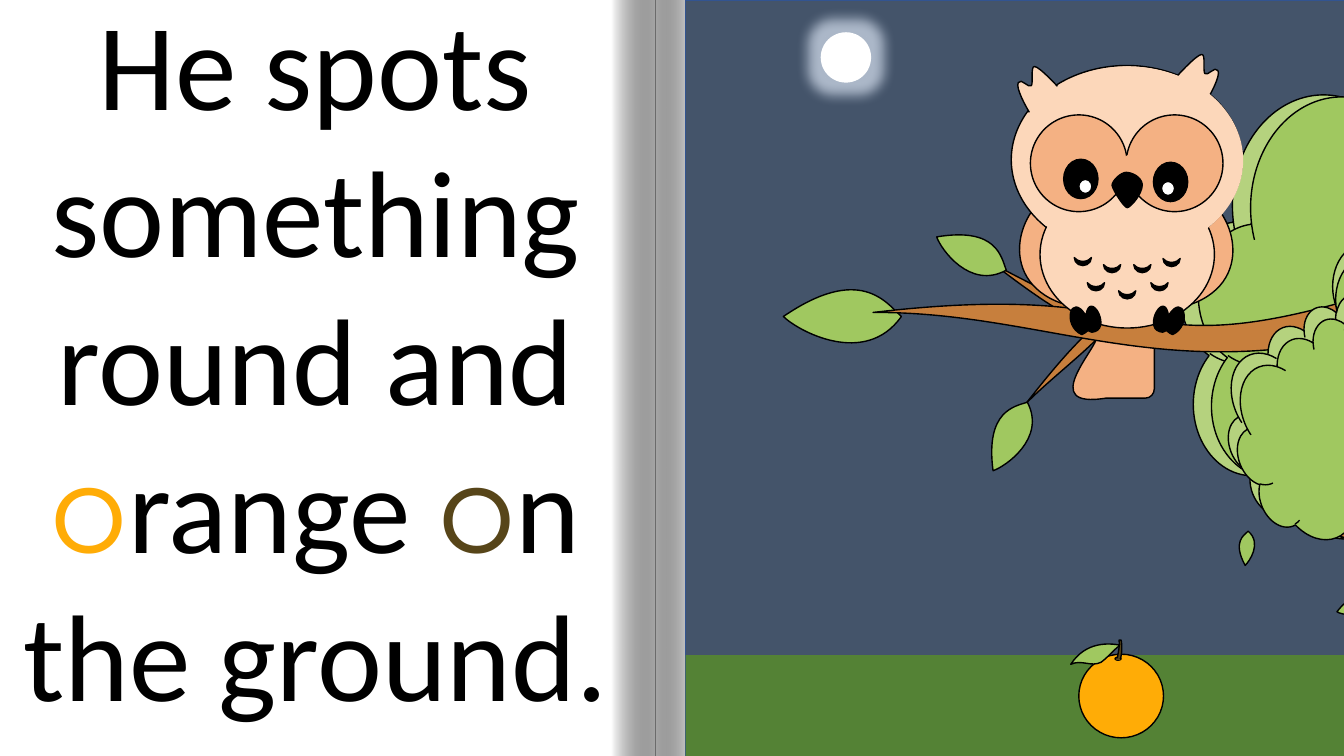
from lxml.etree import SubElement as Sub
from pptx import Presentation
from pptx.dml.color import RGBColor as Rgb
from pptx.enum.shapes import MSO_SHAPE as Kind
from pptx.enum.text import MSO_AUTO_SIZE as Auto, PP_ALIGN as Align
from pptx.oxml.ns import qn
from pptx.util import Inches, Pt

HUES = dict(
    white="FFFFFF", black="000000", sky="44546A", edge="325491", grass="548235",
    leaf="A0C860", pale="B5D27E", wood="C77F3D", down="FCD7BA", wing="F4B183",
    fruit="FFAC06", stem="574519", halo="ADB9CA")
STEPS = 12


def hue(name):
    """Return the colour stored under a name."""
    return Rgb.from_string(HUES[name])


def bend(a, b, c, d):
    """Return points along a cubic curve, without its start."""
    out = []
    for i in range(1, STEPS + 1):
        t = i / STEPS
        u = 1 - t
        mix = (u ** 3, 3 * u * u * t, 3 * u * t * t, t ** 3)
        out.append(tuple(sum(m * p[k] for m, p in zip(mix, (a, b, c, d)))
                         for k in (0, 1)))
    return out


def parse_plan(plan):
    """Split a plan into its start and its moves of one or three points."""
    first, *steps = plan.split("|")
    moves = []
    for step in steps:
        kind, *nums = step.split()
        nums = list(map(float, nums))
        pairs = list(zip(nums[::2], nums[1::2]))
        size = 1 if kind == "L" else 3
        moves += [pairs[i:i + size] for i in range(0, len(pairs), size)]
    return tuple(map(float, first.split())), moves


class Pen:
    """Draws into a group, on a grid laid over a box."""

    def __init__(self, shapes, box, cols):
        """Keep the corner of the box and the size of one column."""
        self.left, self.top, self.unit = box[0], box[1], box[2] / cols
        self.group = shapes.add_group_shape().shapes

    def spot(self, x, y):
        """Return a grid point as slide lengths."""
        return Inches(self.left + x * self.unit), Inches(self.top + y * self.unit)

    def paint(self, shape, fill, line):
        """Give a shape its fill and outline."""
        shape.shadow.inherit = False
        shape.fill.solid()
        shape.fill.fore_color.rgb = hue(fill)
        if line:
            shape.line.color.rgb = hue(line)
            shape.line.width = Pt(1)
        else:
            shape.line.fill.background()
        return shape

    def form(self, kind, x, y, w, h, fill, line="black", turn=0):
        """Draw a preset shape."""
        size = Inches(w * self.unit), Inches(h * self.unit)
        shape = self.group.add_shape(kind, *self.spot(x, y), *size)
        shape.rotation = turn
        return self.paint(shape, fill, line)

    def draw(self, plan, fill, flip=None, drop=0, close=True):
        """Draw a curved outline, mirrored when flip is the sum of both sides."""
        def place(x, y):
            """Return a plan point on the slide."""
            return self.spot(x if flip is None else flip - x, y + drop)

        first, steps = parse_plan(plan)
        start = place(*first)
        moves = [[place(*p) for p in step] for step in steps]
        pts = [start]
        for move in moves:
            pts += move if len(move) == 1 else bend(pts[-1], *move)
        form = self.group.build_freeform(*start, scale=1.0)
        form.add_line_segments(pts[1:], close=close)
        shape = form.convert_to_shape()
        line = shape.element.xpath(".//a:path")[0]
        for old in list(line):
            line.remove(old)
        for tag, move in [("a:moveTo", [start])] + [
                ("a:lnTo" if len(m) == 1 else "a:cubicBezTo", m) for m in moves]:
            node = Sub(line, qn(tag))
            for x, y in move:
                Sub(node, qn("a:pt"), x=str(x - shape.left), y=str(y - shape.top))
        if close:
            Sub(line, qn("a:close"))
        return self.paint(shape, fill, "black")


def page(shapes, box):
    """Draw the white spread with its shaded gutter."""
    pen = Pen(shapes, box, 1333)
    pen.form(Kind.RECTANGLE, -1, 0, 1347, 750, "white", None)
    for x, angle in ((650, 180), (607, 0)):
        fold = pen.form(Kind.RECTANGLE, x, 0, 43, 750, "white", None)
        fold.fill.gradient()
        fold.fill.gradient_angle = angle
        for stop, name in zip(fold.fill.gradient_stops, ("white", "black")):
            stop.color.rgb = hue(name)
        dark = fold.element.xpath(".//a:gs/a:srgbClr")[-1]
        Sub(dark, qn("a:alpha"), val="34000")


def write(shapes, box, runs, size, align):
    """Write one paragraph from (text, font, colour) runs."""
    area = shapes.add_textbox(*map(Inches, box))
    frame = area.text_frame
    frame.word_wrap = True
    frame.auto_size = Auto.SHAPE_TO_FIT_TEXT
    para = frame.paragraphs[0]
    para.alignment = align
    for text, face, name in runs:
        run = para.add_run()
        run.text = text
        run.font.size = Pt(size)
        run.font.name = face
        run.font.color.rgb = hue(name)


def sky(shapes, box):
    """Draw the night sky."""
    Pen(shapes, box, 666).form(Kind.RECTANGLE, 0, 0, 666, 775, "sky", "edge")


def land(shapes, box):
    """Draw the glowing moon and the grass."""
    pen = Pen(shapes, box, 666)
    moon = pen.form(Kind.FLOWCHART_CONNECTOR, 134, 32, 50, 50, "white", None)
    glow = Sub(moon.element.spPr.find(qn("a:effectLst")), qn("a:glow"), rad="228600")
    Sub(glow, qn("a:srgbClr"), val=HUES["halo"])
    pen.form(Kind.RECTANGLE, 0, 650, 666, 174, "grass", None)


def tail(shapes, box):
    """Draw the tail that hangs behind the branch."""
    Pen(shapes, box, 240).draw(
        "88 334|C 88 328 92 324 97 324|L 136 324|C 141 324 145 328 145 334|L 145 385"
        "|C 145 391 141 395 136 395|L 97 395|C 29 406 88 346 88 334", "wing")


def tree(shapes, box):
    """Draw the crown, trunk, branches and leaves."""
    pen = Pen(shapes, box, 640)

    def crown(x, y, w, h, dx, dy, turn=0):
        """Draw a pale cloud with a greener one over it."""
        pen.form(Kind.CLOUD, x, y, w, h, "pale", turn=turn)
        pen.form(Kind.CLOUD, x + dx, y + dy, w, h, "leaf", turn=turn)

    crown(471, 47, 578, 517, 18, 2)
    for plan, fill in (
        ("753 368|L 844 368|C 864 374 834 500 843 513 853 525 889 452 901 442"
         " 914 432 888 491 894 495 901 498 954 409 941 462 778 617 860 665 844 775"
         "|L 700 775|C 692 781 801 569 620 530 611 483 632 489 645 489"
         " 650 449 731 557 727 533 723 510 690 416 699 418 710 407 738 521 750 510", "wood"),
        ("626 607|C 642 586 652 594 658 597 652 614 630 610 626 607", "leaf"),
        ("535 561|C 522 537 534 531 538 527 552 539 539 557 535 561", "leaf"),
        ("284 261|C 313 278 363 300 385 316 384 317 378 319 378 321"
         " 351 313 300 273 284 261", "wood"),
        ("317 401|C 340 377 384 344 400 323 399 322 393 321 392 320"
         " 369 334 329 386 317 401", "wood"),
        ("77 314|C 153 262 179 300 194 314 158 365 91 328 77 314", "leaf"),
        ("166 310|C 490 272 395 386 734 267 734 280 729 293 733 306"
         " 479 401 355 309 166 310", "wood"),
        ("285 467|C 277 407 307 403 319 399 338 435 297 463 285 467", "leaf"),
        ("229 235|C 289 225 293 255 298 268 262 288 233 247 229 235", "leaf"),
    ):
        pen.draw(plan, fill)
    crown(622, 142, 294, 301, 3, 13)
    crown(516, 306, 214, 218, 9, 12, 338.5)


def owl(shapes, box):
    """Draw the owl from wings to beak."""
    pen = Pen(shapes, box, 240)
    wing = "53 301|L 53 188|C 11 198 -15 277 53 301"
    toes = ("150 329|C 134 324 155 287 159 313 174 289 183 323 163 332"
            " 161 332 159 329 157 328 154 329 152 331 150 329")
    tuft = ("22 113|C 18 107 7 87 10 82 13 77 20 88 23 85"
            " 25 82 22 66 26 66 31 66 50 87 50 87|L 50 87")
    pen.draw(wing, "wing")
    pen.draw(wing, "wing", flip=234, drop=1)
    pen.form(Kind.OVAL, 3, 65, 229, 187, "down")
    pen.form(Kind.OVAL, 45, 166, 146, 173, "down", turn=90)
    pen.draw(toes, "black")
    for x, y in ((129, 258), (99, 258), (70, 251), (82, 231), (114, 237),
                 (146, 231), (158, 252), (146, 276), (114, 284), (83, 276)):
        plume = pen.form(Kind.MOON, x, y, 8, 17, "black", turn=270)
        plume.adjustments[0] = 0.52
    pen.draw(tuft, "down", close=False)
    pen.draw(toes, "black", flip=236)
    pen.draw(tuft, "down", flip=218, drop=-12, close=False)
    pen.form(Kind.OVAL, 5, 66, 228, 186, "down", None)
    for x in (22, 117):
        pen.form(Kind.OVAL, x, 114, 96, 96, "wing")
    for x, y, dx, dy in ((55, 158, 15, 20), (144, 161, 8, 19)):
        pen.form(Kind.OVAL, x, y, 34, 39, "black")
        pen.form(Kind.OVAL, x + dx, y + dy, 13, 14, "white")
    pen.form(Kind.OVAL, 112, 154, 13, 23, "wing", None)
    pen.draw("103 184|C 103 179 112 171 117 171 122 171 132 175 133 183"
             " 133 193 121 206 118 206 115 206 104 189 103 184", "black")


def fruit(shapes, box):
    """Draw the orange with its leaf and stem."""
    pen = Pen(shapes, box, 200)
    pen.form(Kind.OVAL, 70, 49, 84, 83, "fruit")
    pen.draw("62 59|C 77 36 100 38 111 40 104 45 99 52 92 57 82 62 73 54 62 59", "leaf")
    pen.form(Kind.OVAL, 106, 52, 6, 3, "stem")
    pen.draw("110 35|L 112 35|C 113 39 113 50 111 54|L 108 54"
             "|C 109 48 111 40 110 35", "stem")
    pen.form(Kind.OVAL, 107, 53, 4, 2, "stem", None)


def main():
    """Build the story page and save it."""
    deck = Presentation()
    deck.slide_width, deck.slide_height = Inches(13.33), Inches(7.5)
    slide = deck.slides.add_slide(deck.slide_layouts[6])
    slide.background.fill.solid()
    slide.background.fill.fore_color.rgb = hue("black")
    shapes = slide.shapes
    right, perch = (6.8, 0, 6.66, 7.5), (10, 0, 2.4, 4)
    page(shapes, (0, 0, 13.33, 7.5))
    sky(shapes, right)
    write(shapes, (-0.04, -0.18, 6.34, 7.51), (
        ("He spots something round and ", "Calibri", "black"),
        ("o", "Montserrat", "fruit"),
        ("range ", "Calibri", "black"),
        ("o", "Montserrat", "stem"),
        ("n the ground.", "Calibri", "black")), size=88, align=Align.CENTER)
    tail(shapes, perch)
    tree(shapes, (7, 0, 6.4, 7.5))
    land(shapes, right)
    owl(shapes, perch)
    fruit(shapes, (10, 6, 2, 1.5))
    deck.save("out.pptx")


if __name__ == "__main__":
    main()
